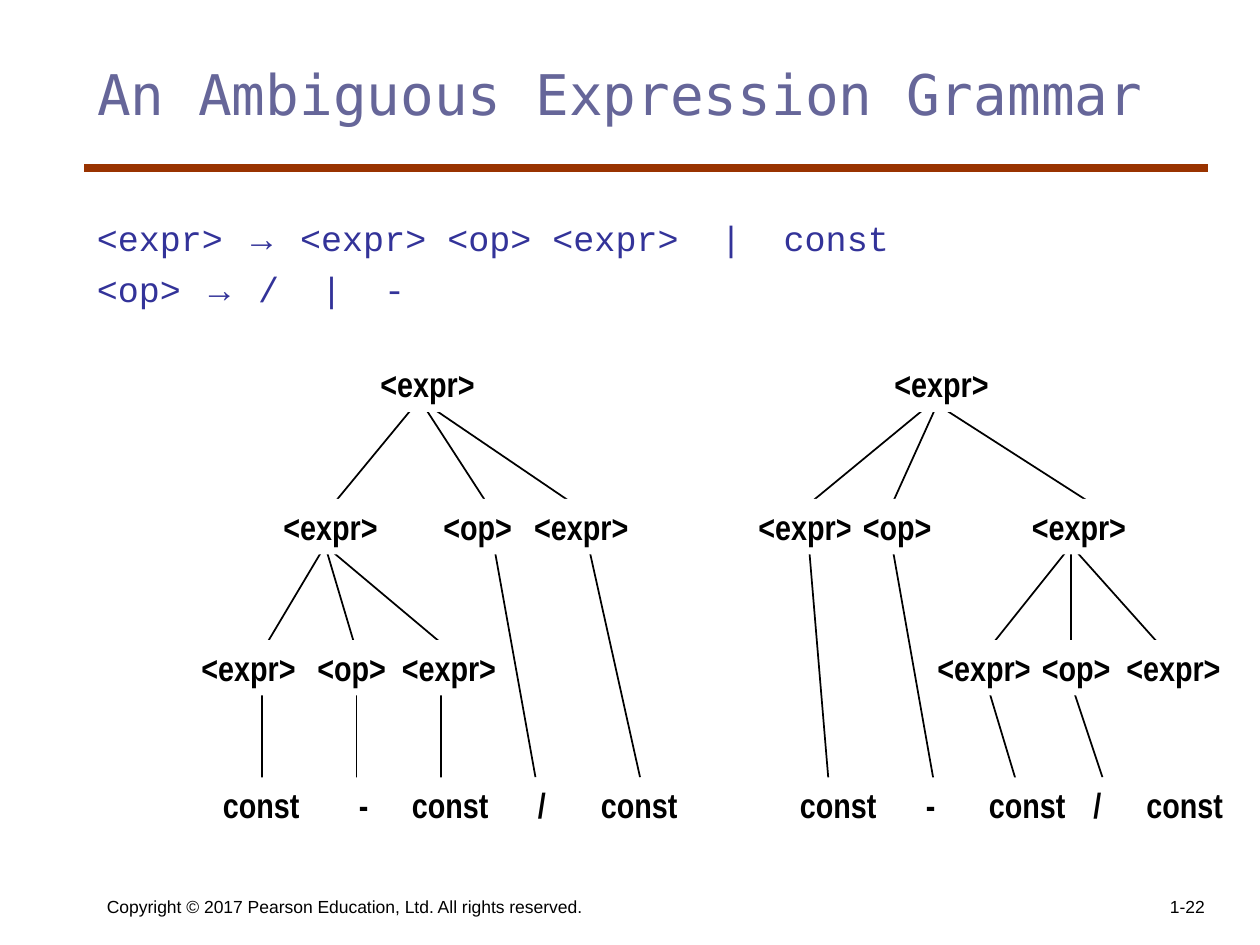
from lxml import etree
from pptx import Presentation
from pptx.dml.color import RGBColor
from pptx.enum.shapes import MSO_CONNECTOR, MSO_SHAPE
from pptx.enum.text import MSO_ANCHOR, MSO_AUTO_SIZE, PP_ALIGN
from pptx.oxml.ns import qn
from pptx.util import Inches, Pt

STRAIGHT = MSO_CONNECTOR.STRAIGHT
RECTANGLE = MSO_SHAPE.RECTANGLE
TOP, BOTTOM = MSO_ANCHOR.TOP, MSO_ANCHOR.BOTTOM
LEFT, RIGHT = PP_ALIGN.LEFT, PP_ALIGN.RIGHT
NO_FIT, GROW = MSO_AUTO_SIZE.NONE, MSO_AUTO_SIZE.SHAPE_TO_FIT_TEXT

BLACK, WHITE = "000000", "FFFFFF"
NODE_WIDTHS = {"<expr>": 0.95, "<op>": 0.76, "const": 0.81, "-": 0.27, "/": 0.26}
NODE_HEIGHT = 0.44
LEVEL_TOPS = (0, 1.13, 2.25, 3.34)

PRODUCTIONS = [
    ("<expr> ", " <expr> <op> <expr>  |  const"),
    ("<op> ", " /  |  -"),
]

SUBTRACT_FIRST_LEVELS = [
    [(1.42, "<expr>")],
    [(0.65, "<expr>"), (1.92, "<op>"), (2.64, "<expr>")],
    [(0, "<expr>"), (0.92, "<op>"), (1.59, "<expr>")],
    [(0.17, "const"), (1.25, "-"), (1.67, "const"), (2.67, "/"), (3.17, "const")],
]
SUBTRACT_FIRST_BRANCHES = [
    (0.34, 1.25, [(1.83, 1.08), (1.83, 2.42), (1.83, 3.17)]),
    (1.5, 2.34, [(1.08, 0.58), (1.08, 1.33), (1.08, 2.08)]),
    (2.59, 3.42, [(0.58, 0.58), (1.33, 1.33), (2, 2)]),
    (1.5, 3.34, [(2.42, 2.75), (3.17, 3.58)]),
]
DIVIDE_FIRST_LEVELS = [
    [(1.08, "<expr>")],
    [(0, "<expr>"), (0.83, "<op>"), (2.17, "<expr>")],
    [(1.42, "<expr>"), (2.25, "<op>"), (2.92, "<expr>")],
    [(0.33, "const"), (1.33, "-"), (1.83, "const"), (2.66, "/"), (3.08, "const")],
]
DIVIDE_FIRST_BRANCHES = [
    (0.42, 1.17, [(1.41, 0.5), (1.5, 1.16), (1.58, 2.75)]),
    (1.5, 2.34, [(2.58, 1.91), (2.58, 2.58), (2.58, 3.33)]),
    (1.5, 3.42, [(0.5, 0.66), (1.16, 1.5)]),
    (2.59, 3.42, [(1.91, 2.16)]),
    (2.59, 3.34, [(2.58, 2.83)]),
]


def color(hex_code):
    """Turn a hex string into a colour."""
    return RGBColor.from_string(hex_code)


def style_font(font, name, size, hex_code, bold=False):
    """Apply face, size, colour and weight to a font."""
    font.name = name
    font.size = Pt(size)
    font.color.rgb = color(hex_code)
    font.bold = bold


def add_line(slide, x1, y1, x2, y2, hex_code, width):
    """Draw a straight line without a shadow."""
    line = slide.shapes.add_connector(
        STRAIGHT, Inches(x1), Inches(y1), Inches(x2), Inches(y2)
    )
    line.line.color.rgb = color(hex_code)
    line.line.width = Pt(width)
    etree.SubElement(line._element.spPr, qn("a:effectLst"))


def add_title(slide, left, top, width, height):
    """Place the title and the rule across its box."""
    title = slide.shapes.title
    title.left, title.top = Inches(left), Inches(top)
    title.width, title.height = Inches(width), Inches(height)
    frame = title.text_frame
    frame.text = "An Ambiguous Expression Grammar"
    frame.auto_size = NO_FIT
    frame.vertical_anchor = TOP
    heading = frame.paragraphs[0]
    heading.alignment = LEFT
    style_font(heading.font, "DejaVu Sans Mono", 32, "666699")
    add_line(slide, left, top + 0.91, left + width, top + 0.91, "993300", 4.5)


def add_grammar(slide, left, top, width, height):
    """Write one production per paragraph."""
    grammar = slide.shapes.add_textbox(
        Inches(left), Inches(top), Inches(width), Inches(height)
    )
    frame = grammar.text_frame
    frame.word_wrap = True
    for index, (symbol, expansion) in enumerate(PRODUCTIONS):
        production = frame.add_paragraph() if index else frame.paragraphs[0]
        production.space_before = Pt(5 if index else 0)
        properties = production._p.get_or_add_pPr()
        properties.set("marL", str(Inches(0.38)))
        properties.set("indent", str(Inches(-0.38)))
        parts = [(symbol, "Courier New"), ("→", "Arial"), (expansion, "Courier New")]
        for text, face in parts:
            run = production.add_run()
            run.text = text
            style_font(run.font, face, 20, "333399")


def add_node(slide, left, top, label):
    """Place one symbol of a parse tree."""
    node = slide.shapes.add_shape(
        RECTANGLE, Inches(left), Inches(top),
        Inches(NODE_WIDTHS[label]), Inches(NODE_HEIGHT),
    )
    node.shadow.inherit = False
    node.fill.solid()
    node.fill.fore_color.rgb = color(WHITE)
    node.line.fill.background()
    frame = node.text_frame
    frame.text = label
    frame.word_wrap = False
    frame.auto_size = GROW
    frame.vertical_anchor = TOP
    symbol = frame.paragraphs[0]
    symbol.alignment = LEFT
    style_font(symbol.font, "Arial Narrow", 20, BLACK, bold=True)


def add_parse_tree(slide, left, top, levels, branches):
    """Draw the branches of a parse tree, then its symbols over them."""
    for start, end, spans in branches:
        for x1, x2 in spans:
            add_line(slide, left + x1, top + start, left + x2, top + end, BLACK, 1)
    for level_top, nodes in zip(LEVEL_TOPS, levels):
        for x, label in nodes:
            add_node(slide, left + x, top + level_top, label)


def add_footer(slide, left, top, width, height, text, alignment):
    """Write one footer line at the bottom of its box."""
    footer = slide.shapes.add_textbox(
        Inches(left), Inches(top), Inches(width), Inches(height)
    )
    frame = footer.text_frame
    frame.text = text
    frame.word_wrap = True
    frame.vertical_anchor = BOTTOM
    line = frame.paragraphs[0]
    line.alignment = alignment
    style_font(line.font, "Arial", 10, BLACK)


def main():
    """Build and save the slide."""
    deck = Presentation()
    deck.slide_width, deck.slide_height = Inches(10), Inches(7.5)
    slide = deck.slides.add_slide(deck.slide_layouts[5])
    add_title(slide, 0.67, 0.42, 8.92, 1.25)
    add_grammar(slide, 0.67, 1.67, 8.17, 5.17)
    add_parse_tree(slide, 1.5, 2.83, SUBTRACT_FIRST_LEVELS, SUBTRACT_FIRST_BRANCHES)
    add_parse_tree(slide, 5.92, 2.83, DIVIDE_FIRST_LEVELS, DIVIDE_FIRST_BRANCHES)
    copyright_line = "Copyright © 2017 Pearson Education, Ltd. All rights reserved."
    add_footer(slide, 0.75, 6.83, 4.58, 0.5, copyright_line, LEFT)
    add_footer(slide, 7.58, 6.83, 2.08, 0.5, "1-22", RIGHT)
    deck.save("out.pptx")


if __name__ == "__main__":
    main()
